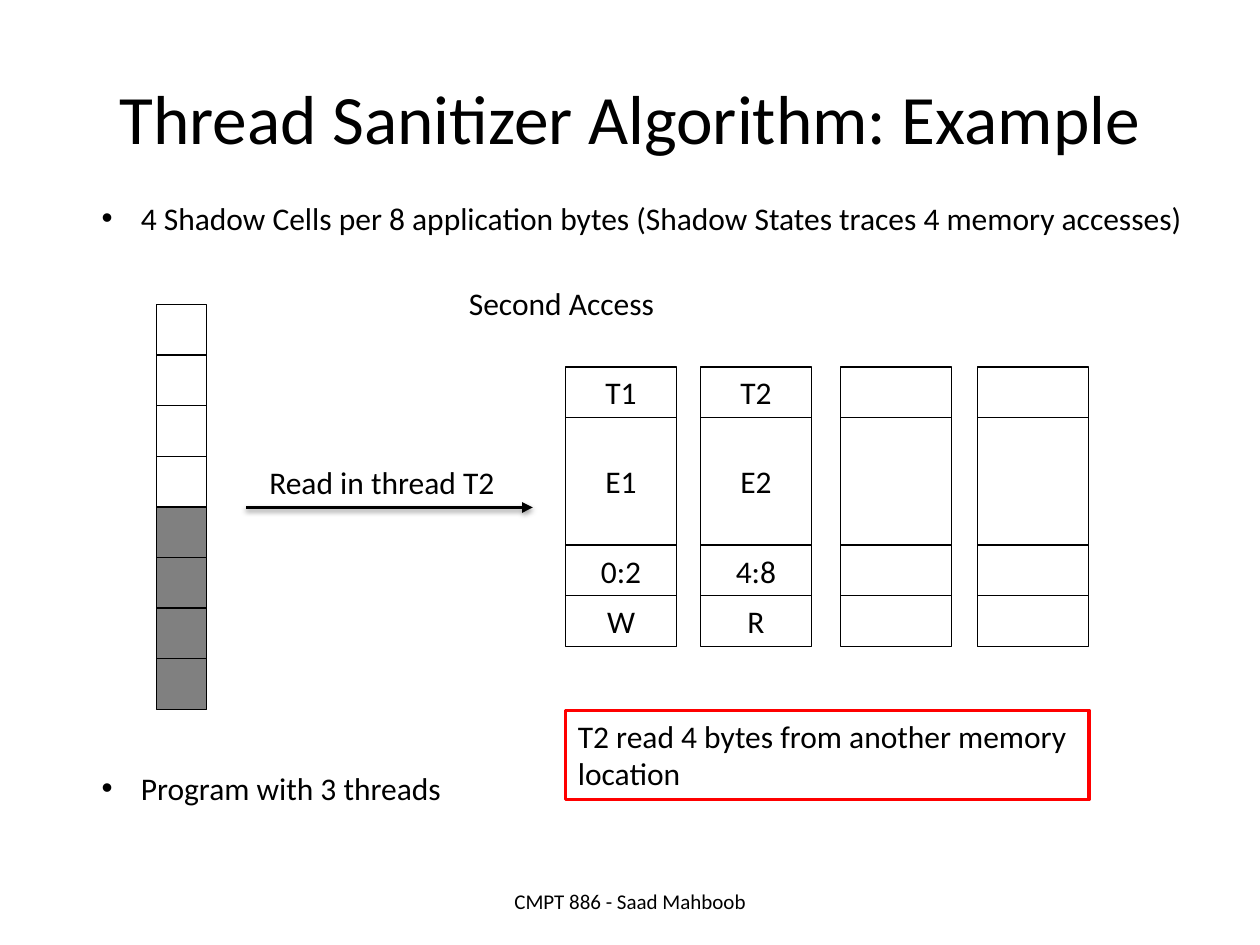
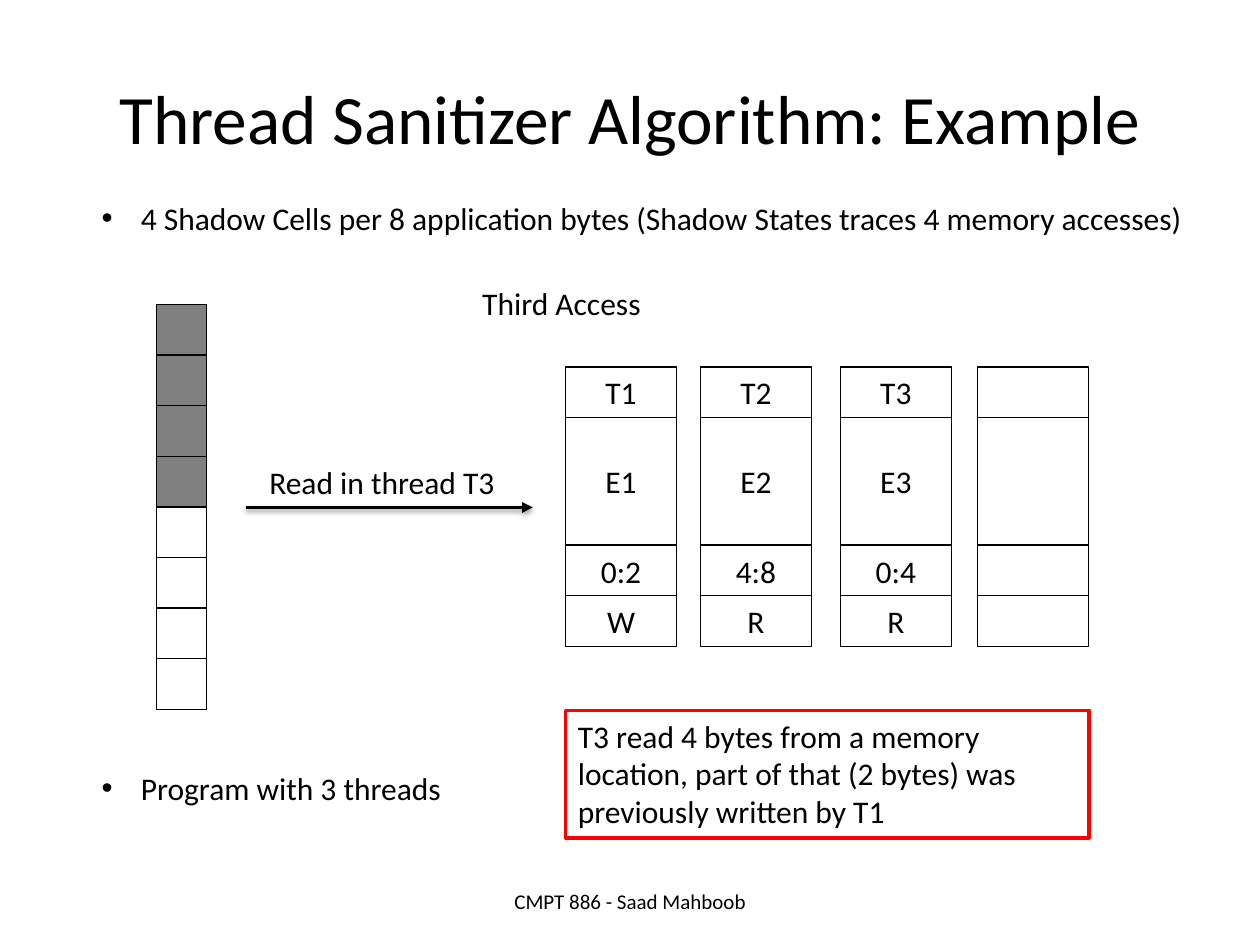
from dataclasses import dataclass
from itertools import accumulate

from lxml import etree
from pptx import Presentation
from pptx.dml.color import RGBColor
from pptx.enum.shapes import MSO_CONNECTOR, MSO_SHAPE
from pptx.enum.text import MSO_ANCHOR, PP_ALIGN
from pptx.oxml.ns import qn
from pptx.util import Cm, Pt

BLACK = RGBColor(0, 0, 0)
GREY = RGBColor(0x80, 0x80, 0x80)
RED = RGBColor(0xFF, 0, 0)
FONT = "Calibri"
RECT = MSO_SHAPE.RECTANGLE
STRAIGHT = MSO_CONNECTOR.STRAIGHT
LEFT, CENTER = PP_ALIGN.LEFT, PP_ALIGN.CENTER
TOP, MIDDLE = MSO_ANCHOR.TOP, MSO_ANCHOR.MIDDLE

# Shared measures, in centimetres
LINE = 1.02                                # height of one line of text
BYTE_X, BYTE_Y, BYTES = 3.15, 6.14, 8
CELL_XS = (11.4, 14.12, 16.94, 19.71)
CELL_Y, CELL_W = 7.4, 2.24
ROWS = (LINE, 2.57, LINE, LINE)            # thread, epoch, bytes, access
EMPTY = ("",) * len(ROWS)


@dataclass(frozen=True)
class Box:
    x: float
    y: float
    w: float
    h: float = LINE

    def lengths(self) -> tuple:
        return Cm(self.x), Cm(self.y), Cm(self.w), Cm(self.h)


@dataclass(frozen=True)
class Step:
    order: str
    thread: str
    used: range                            # bytes touched by this access
    cells: tuple
    note: str
    note_h: float


def write(shape, text: str, size: float = 18, align=LEFT, anchor=TOP) -> None:
    frame = shape.text_frame
    frame.word_wrap = True
    frame.vertical_anchor = anchor
    frame.text = text
    para = frame.paragraphs[0]
    para.alignment = align
    for run in para.runs:
        run.font.name = FONT
        run.font.size = Pt(size)
        run.font.color.rgb = BLACK


def label(slide, box: Box, text: str, size: float = 18, align=LEFT, anchor=TOP):
    shape = slide.shapes.add_textbox(*box.lengths())
    write(shape, text, size, align, anchor)
    return shape


def bullet(slide, box: Box, text: str) -> None:
    shape = label(slide, box, text)
    props = shape.text_frame.paragraphs[0]._p.get_or_add_pPr()
    props.set("marL", str(Cm(0.79)))
    props.set("indent", str(-Cm(0.79)))
    etree.SubElement(props, qn("a:buFont"), typeface="Arial")
    etree.SubElement(props, qn("a:buChar"), char="•")


def frame(shapes, box: Box, fill=None, color=BLACK, width: float = 0.75):
    shape = shapes.add_shape(RECT, *box.lengths())
    shape.shadow.inherit = False
    if fill is None:
        shape.fill.background()
    else:
        shape.fill.solid()
        shape.fill.fore_color.rgb = fill
    shape.line.color.rgb = color
    shape.line.width = Pt(width)
    return shape


def memory(slide, used: range) -> None:
    group = slide.shapes.add_group_shape()
    for i in range(BYTES):
        box = Box(BYTE_X, BYTE_Y + i * LINE, LINE)
        frame(group.shapes, box, GREY if i in used else None)


def shadow_cell(slide, x: float, texts: tuple) -> None:
    group = slide.shapes.add_group_shape()
    tops = accumulate(ROWS, initial=CELL_Y)
    for y, h, text in zip(tops, ROWS, texts):
        shape = frame(group.shapes, Box(x, y, CELL_W, h))
        if text:
            write(shape, text, align=CENTER, anchor=MIDDLE)


def arrow(slide, x: float, end: float, y: float) -> None:
    line = slide.shapes.add_connector(STRAIGHT, Cm(x), Cm(y), Cm(end), Cm(y))
    line.line.color.rgb = BLACK
    line.line.width = Pt(2)
    etree.SubElement(line.line._get_or_add_ln(), qn("a:tailEnd"), type="triangle")
    # Soft shadow straight below the line
    effects = etree.SubElement(line._element.spPr, qn("a:effectLst"))
    shade = etree.SubElement(effects, qn("a:outerShdw"), blurRad=str(Pt(3.1)),
                             dist=str(Pt(1.6)), dir="5400000", rotWithShape="0")
    color = etree.SubElement(shade, qn("a:srgbClr"), val=str(BLACK))
    etree.SubElement(color, qn("a:alpha"), val="38000")


def draw(deck, step: Step) -> None:
    slide = deck.slides.add_slide(deck.slide_layouts[6])
    # Title and bullets
    label(slide, Box(1.27, 0.76, 22.86, 3.18),
          "Thread Sanitizer Algorithm: Example", 39.6, CENTER, MIDDLE)
    bullet(slide, Box(1.8, 3.89, 22.53),
           "4 Shadow Cells per 8 application bytes "
           "(Shadow States traces 4 memory accesses)")
    bullet(slide, Box(1.8, 15.37, 7.47), "Program with 3 threads")
    # Memory, access and shadow cells
    memory(slide, step.used)
    arrow(slide, 4.96, 10.74, 10.23)
    label(slide, Box(5.18, 9.2, 5.13), f"Read in thread {step.thread}")
    label(slide, Box(7.93, 5.61, 6.78), f"{step.order} Access", align=CENTER)
    for i, x in enumerate(CELL_XS):
        shadow_cell(slide, x, step.cells[i] if i < len(step.cells) else EMPTY)
    # Note and footer
    width = CELL_XS[-1] + CELL_W - CELL_XS[0]
    note = frame(slide.shapes, Box(CELL_XS[0], 14.32, width, step.note_h),
                 color=RED, width=2)
    write(note, step.note)
    label(slide, Box(8.68, 17.65, 8.05), "CMPT 886 - Saad Mahboob",
          12, CENTER, MIDDLE)


FIRST = ("T1", "E1", "0:2", "W")
SECOND = ("T2", "E2", "4:8", "R")
THIRD = ("T3", "E3", "0:4", "R")

STEPS = (
    Step("Second", "T2", range(4, 8), (FIRST, SECOND),
         "T2 read 4 bytes from another memory location", 1.8),
    Step("Third", "T3", range(4), (FIRST, SECOND, THIRD),
         "T3 read 4 bytes from a memory location, part of that (2 bytes) "
         "was previously written by T1", 2.57),
)

deck = Presentation()
deck.slide_width, deck.slide_height = Cm(25.4), Cm(19.05)
for step in STEPS:
    draw(deck, step)
deck.save("out.pptx")
